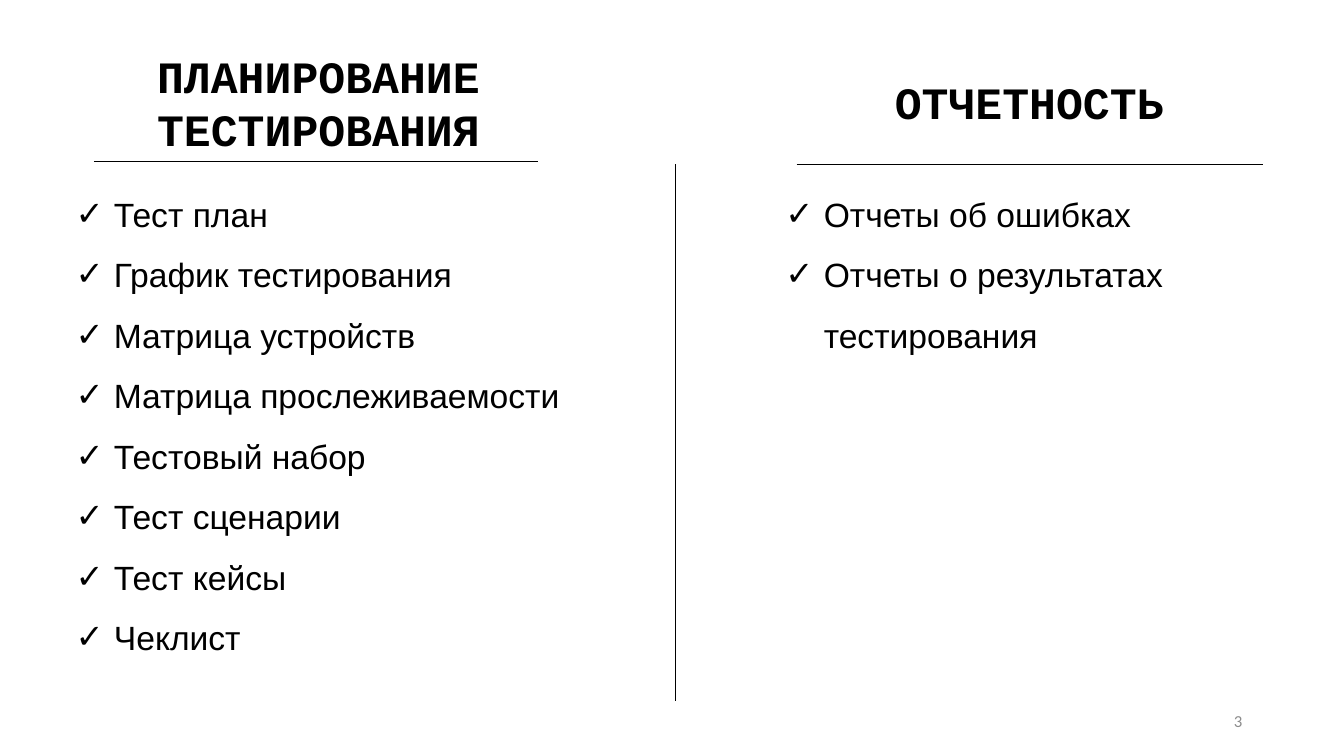
from lxml import etree
from pptx import Presentation
from pptx.dml.color import RGBColor
from pptx.enum.shapes import MSO_CONNECTOR
from pptx.enum.text import MSO_ANCHOR, MSO_AUTO_SIZE, PP_ALIGN
from pptx.oxml.ns import qn
from pptx.util import Inches, Pt

LEFT, CENTER, RIGHT = PP_ALIGN.LEFT, PP_ALIGN.CENTER, PP_ALIGN.RIGHT
TOP, MIDDLE = MSO_ANCHOR.TOP, MSO_ANCHOR.MIDDLE
GROW, FIXED = MSO_AUTO_SIZE.SHAPE_TO_FIT_TEXT, MSO_AUTO_SIZE.NONE
STRAIGHT = MSO_CONNECTOR.STRAIGHT
TWO_CONTENT = 3

PLANNING = ["Тест план", "График тестирования", "Матрица устройств",
            "Матрица прослеживаемости", "Тестовый набор", "Тест сценарии",
            "Тест кейсы", "Чеклист"]
REPORTING = ["Отчеты об ошибках", "Отчеты о результатах тестирования"]


def rgb(value):
    return RGBColor.from_string(value)


class Deck:
    ink, muted = "000000", "8C8C8C"
    heading_font, body_font, number_font = "Courier New", "Arial", "Calibri"
    indent = Inches(0.38)

    def __init__(self, prs):
        self.s = prs.slides.add_slide(prs.slide_layouts[TWO_CONTENT])

    def box(self, x, y, w, h):
        return self.s.shapes.add_textbox(*map(Inches, (x, y, w, h)))

    def place(self, sp, x, y, w, h):
        sp.left, sp.top, sp.width, sp.height = map(Inches, (x, y, w, h))
        return sp

    def add_text(self, sp, lines, font, size, color, align=LEFT, bold=False,
                 anchor=TOP, wrap=True, fit=GROW):
        tf = sp.text_frame
        tf.word_wrap, tf.auto_size, tf.vertical_anchor = wrap, fit, anchor
        tf.margin_left = tf.margin_right = Inches(0.1)
        tf.margin_top = tf.margin_bottom = Inches(0.05)
        for i, line in enumerate(lines):
            p = tf.add_paragraph() if i else tf.paragraphs[0]
            p.alignment = align
            r = p.add_run()
            r.text = line
            r.font.name, r.font.size, r.font.bold = font, Pt(size), bold
            r.font.color.rgb = rgb(color)
        return tf

    def heading(self, sp, lines):
        self.add_text(sp, lines, self.heading_font, 32, self.ink, CENTER,
                      bold=True, wrap=False)

    def checklist(self, sp, items):
        tf = self.add_text(sp, items, self.body_font, 24, self.ink)
        for p in tf.paragraphs:
            p.line_spacing = 1.5
            p.space_before = p.space_after = Pt(0)
            pPr = p._p.get_or_add_pPr()
            pPr.set("marL", str(self.indent))
            pPr.set("indent", str(-self.indent))
            etree.SubElement(pPr, qn("a:buFont")).set("typeface", self.body_font)
            etree.SubElement(pPr, qn("a:buChar")).set("char", "✓")

    def line(self, x1, y1, x2, y2):
        c = self.s.shapes.add_connector(STRAIGHT, *map(Inches, (x1, y1, x2, y2)))
        c.line.color.rgb = rgb(self.ink)
        c.line.width = Pt(0.5)
        etree.SubElement(c._element.spPr, qn("a:effectLst"))

    def number(self, sp, text):
        self.add_text(sp, [text], self.number_font, 12, self.muted, RIGHT,
                      anchor=MIDDLE, fit=FIXED)


def main():
    prs = Presentation()
    prs.slide_width, prs.slide_height = Inches(13.33), Inches(7.5)
    d = Deck(prs)
    title, left, right = d.s.placeholders

    d.heading(d.place(title, 1.44, 0.43, 3.44, 1.18),
              ["ПЛАНИРОВАНИЕ", "ТЕСТИРОВАНИЯ"])
    d.checklist(d.place(left, 0.65, 1.67, 5.01, 4.95), PLANNING)
    d.line(0.93, 1.6, 5.34, 1.6)

    d.heading(d.box(8.76, 0.69, 2.9, 0.64), ["ОТЧЕТНОСТЬ"])
    d.checklist(d.place(right, 7.69, 1.67, 5.05, 1.92), REPORTING)
    d.line(7.9, 1.63, 12.53, 1.63)

    d.line(6.7, 1.63, 6.7, 6.95)
    d.number(d.box(9.42, 6.95, 3, 0.4), "3")
    prs.save("out.pptx")


if __name__ == "__main__":
    main()
